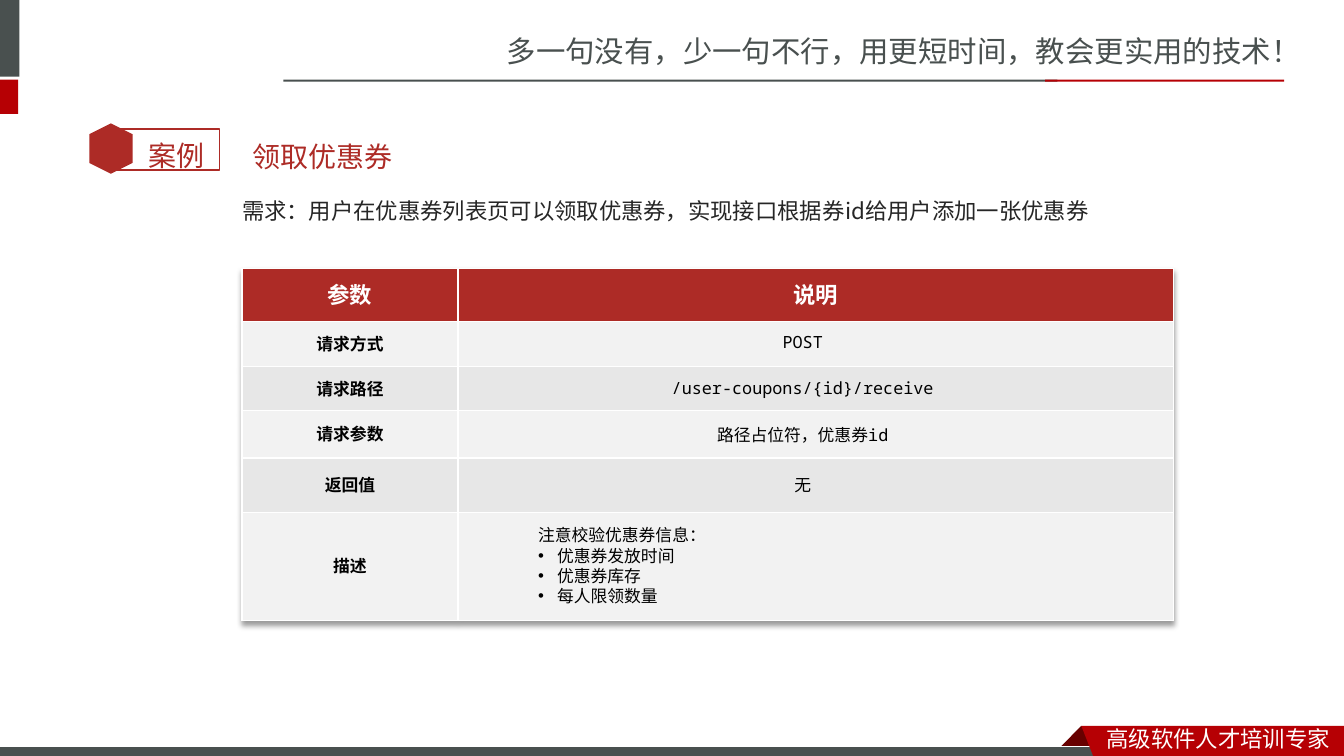
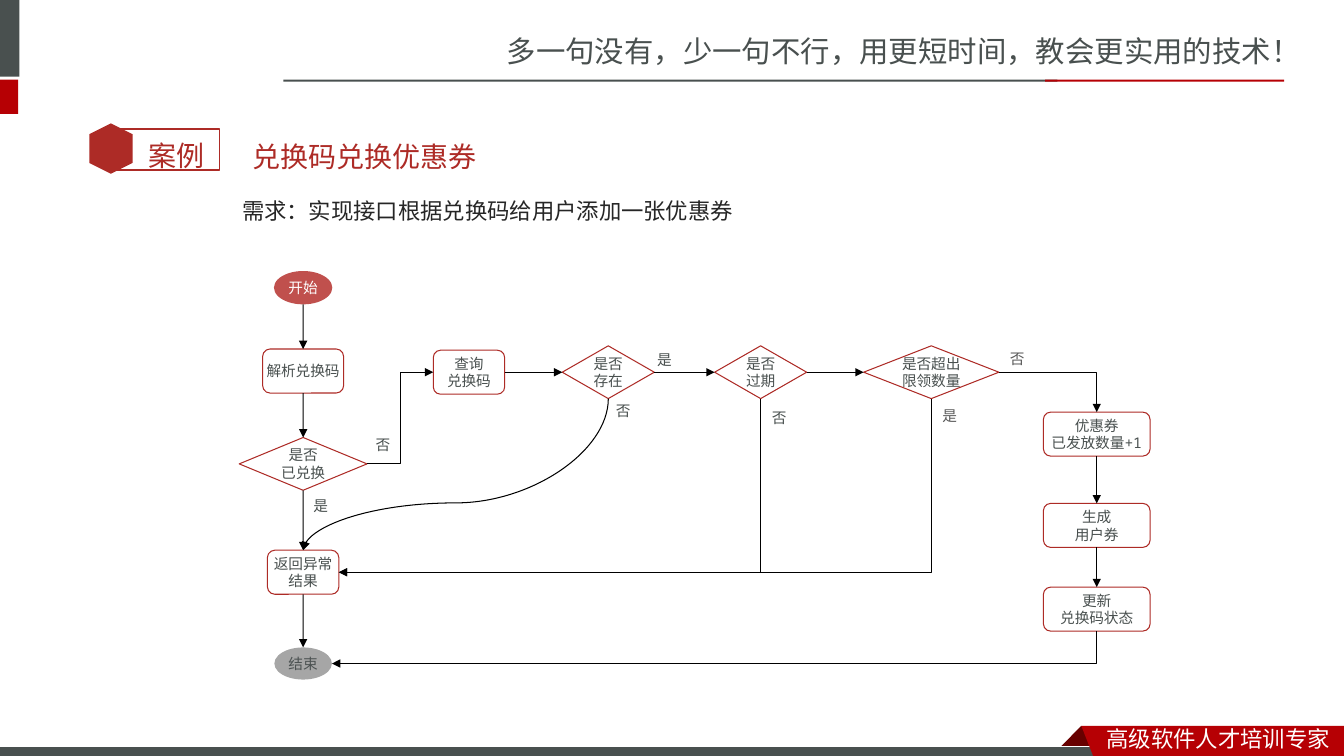
import pptx
import pptx.util
import pptx.dml.color
import pptx.enum.shapes
import pptx.enum.text
import pptx.oxml
import pptx.oxml.ns
from lxml import etree

Cm, Pt = pptx.util.Cm, pptx.util.Pt
SHAPE = pptx.enum.shapes.MSO_SHAPE
CONNECTOR = pptx.enum.shapes.MSO_CONNECTOR
ALIGN = pptx.enum.text.PP_ALIGN
ANCHOR = pptx.enum.text.MSO_ANCHOR
qn = pptx.oxml.ns.qn

COLORS = {
    "slate": "49504F", "red": "B60004", "dark red": "680000",
    "brick": "AD2B26", "start": "C0504D", "end": "A6A6A6", "end text": "4C5252",
    "ink": "262626", "label": "595959", "black": "000000", "white": "FFFFFF",
    "light row": "F2F2F2", "dark row": "E7E7E7",
}
CJK, MONO = "Noto Sans CJK SC", "Noto Sans Mono"
CENTERED = {"alignment": ALIGN.CENTER}
NO_SIDE_MARGINS = {"margin_left": 0, "margin_right": 0}


def paint(shape, fill=None, line=None, weight=0.75):
    shape.shadow.inherit = False
    if fill:
        shape.fill.solid()
        shape.fill.fore_color.rgb = pptx.dml.color.RGBColor.from_string(COLORS[fill])
    else:
        shape.fill.background()
    if line:
        shape.line.color.rgb = pptx.dml.color.RGBColor.from_string(COLORS[line])
        shape.line.width = Pt(weight)
    else:
        shape.line.fill.background()


def write(frame, text, size, color, font=MONO, bold=False, frame_format={}, paragraph_format={}):
    frame_values = {"word_wrap": True, "auto_size": pptx.enum.text.MSO_AUTO_SIZE.NONE}
    for name, value in {**frame_values, **frame_format}.items():
        setattr(frame, name, value)
    for number, line in enumerate(text.split("\n")):
        paragraph = frame.add_paragraph() if number else frame.paragraphs[0]
        for name, value in paragraph_format.items():
            setattr(paragraph, name, value)
        run = paragraph.add_run()
        run.text = line
        for name, value in {"size": Pt(size), "bold": bold, "name": font}.items():
            setattr(run.font, name, value)
        run.font.color.rgb = pptx.dml.color.RGBColor.from_string(COLORS[color])
        east_asian = font if font in (MONO, "Noto Sans CJK JP") else CJK
        etree.SubElement(run._r.get_or_add_rPr(), qn("a:ea"), typeface=east_asian)


deck = pptx.Presentation()
deck.slide_width, deck.slide_height = Cm(33.87), Cm(19.05)

# Layout: title and requirement places
layout = deck.slide_layouts[1]
for spare in list(layout.placeholders)[2:]:
    spare._element.getparent().remove(spare._element)
places = [(6.1, 2.62, 16.59, 1.78), (6.1, 4.5, 25.6, 1.8)]
for placeholder, box in zip(layout.placeholders, places):
    for name, value in zip(("left", "top", "width", "height"), box):
        setattr(placeholder, name, Cm(value))

# Slides with title and requirement
headings = [
    ("领取优惠券", "需求：用户在优惠券列表页可以领取优惠券，实现接口根据券id给用户添加一张优惠券"),
    ("兑换码兑换优惠券", "需求：实现接口根据兑换码给用户添加一张优惠券"),
]
for title, requirement in headings:
    slide = deck.slides.add_slide(layout)
    write(slide.shapes.title.text_frame, title, 20, "brick", "Lato",
          frame_format={"vertical_anchor": ANCHOR.MIDDLE},
          paragraph_format={"alignment": ALIGN.LEFT, "line_spacing": 2.0, "space_before": Pt(0)})
    body = slide.placeholders[1].text_frame
    write(body, requirement, 16, "ink", "Noto Sans CJK JP", frame_format=NO_SIDE_MARGINS,
          paragraph_format={"line_spacing": 1.5, "space_before": Pt(0)})
    properties = body.paragraphs[0]._p.get_or_add_pPr()
    properties.set("marL", "0")
    properties.set("indent", "0")
    etree.SubElement(properties, qn("a:buNone"))
api_slide, flow_slide = deck.slides

# Shared frame: bands, header rules, ribbon and badge
shapes = api_slide.shapes
bands = [
    (SHAPE.RECTANGLE, (-0.15, 0, 0.64, 1.93), "slate", None, 0),
    (SHAPE.RECTANGLE, (-0.15, 2.01, 0.61, 0.86), "red", None, 0),
    (SHAPE.RECTANGLE, (7.14, 2.01, 19.51, 0.05), "slate", None, 0),
    (SHAPE.RECTANGLE, (26.34, 2.01, 6.02, 0.05), "red", None, 0),
    (SHAPE.RECTANGLE, (2.77, 3.25, 2.77, 1.04), None, "brick", 0),
    (SHAPE.HEXAGON, (2.16, 3.2, 1.27, 1.09), "brick", None, 90),
    (SHAPE.RECTANGLE, (-0.03, 18.82, 27.94, 0.3), "slate", "white", 0),
]
for kind, box, fill, line, rotation in bands:
    band = shapes.add_shape(kind, *map(Cm, box))
    band.rotation = rotation
    paint(band, fill, line, 1 if line == "brick" else 0.75)

ribbon_parts = [
    ("dark red", [(27.25, 18.29), (27.81, 18.85), (27.79, 18.87), (26.72, 18.87), (26.7, 18.85)]),
    ("red", [(27.25, 18.29), (33.87, 18.29), (33.87, 19.15), (27.58, 19.13)]),
]
footer_band = band
for fill, corners in ribbon_parts:
    points = [(Cm(x), Cm(y)) for x, y in corners]
    outline = shapes.build_freeform(*points[0])
    outline.add_line_segments(points[1:], close=True)
    ribbon = outline.convert_to_shape()
    paint(ribbon, fill)
    if fill == "dark red":
        footer_band._element.addprevious(ribbon._element)

frame_texts = [
    ((12.52, 0.71, 21.36, 1.19), "多一句没有，少一句不行，用更短时间，教会更实用的技术！", 21, "slate", CJK, 1.0),
    ((27.64, 18.16, 6.22, 0.94), "高级软件人才培训专家", 16, "white", CJK, 1.0),
    ((3.5, 2.95, 2.16, 1.42), "案例", 20, "brick", "Calibri", 1.5),
]
for box, text, size, color, font, spacing in frame_texts:
    caption = shapes.add_textbox(*map(Cm, box))
    write(caption.text_frame, text, size, color, font, paragraph_format={"line_spacing": spacing})

# Move the frame to the layout so that both slides share it
for shape in list(shapes):
    if not shape.is_placeholder:
        layout.shapes._spTree.append(shape._element)

# Slide 1: interface table
column_widths = [5.44, 18.03]
row_heights = [1.35, 1.12, 1.12, 1.19, 1.37, 2.72]
row_names = ["参数", "请求方式", "请求路径", "请求参数", "返回值", "描述"]
table = api_slide.shapes.add_table(
    len(row_names), 2, Cm(6.1), Cm(6.76), Cm(sum(column_widths)), Cm(sum(row_heights))).table
for column, width in zip(table.columns, column_widths):
    column.width = Cm(width)
for number, (row, height, name) in enumerate(zip(table.rows, row_heights, row_names)):
    row.height = Cm(height)
    fill = "brick" if number == 0 else "light row" if number % 2 else "dark row"
    for cell, text in zip(row.cells, (name, "" if number else "说明")):
        cell.fill.solid()
        cell.fill.fore_color.rgb = pptx.dml.color.RGBColor.from_string(COLORS[fill])
        cell.vertical_anchor = ANCHOR.MIDDLE
        if text:
            write(cell.text_frame, text, 12 if number else 16, "black" if number else "white",
                  bold=True, frame_format={}, paragraph_format=CENTERED)
table._tbl.tblPr.insert(0, pptx.oxml.parse_xml(
    '<a:effectLst xmlns:a="http://schemas.openxmlformats.org/drawingml/2006/main">'
    '<a:outerShdw blurRad="50800" dist="38100" dir="5400000" algn="t" rotWithShape="0">'
    '<a:srgbClr val="000000"><a:alpha val="40000"/></a:srgbClr></a:outerShdw></a:effectLst>'))

# Slide 1: values over the second column
value_center = 20.23
values = [
    (8.23, 4.9, "POST"),
    (9.4, 8.71, "/user-coupons/{id}/receive"),
    (10.57, 8.71, "路径占位符，优惠券id"),
    (11.84, 15.54, "无"),
]
for top, width, text in values:
    value_box = api_slide.shapes.add_textbox(
        Cm(value_center - width / 2), Cm(top), Cm(width), Cm(0.76))
    write(value_box.text_frame, text, 12, "black", paragraph_format=CENTERED)

checks = api_slide.shapes.add_textbox(Cm(13.31), Cm(13.11), Cm(14.63), Cm(2.31)).text_frame
write(checks, "注意校验优惠券信息：\n优惠券发放时间\n优惠券库存\n每人限领数量", 12, "black")
for check in checks.paragraphs[1:]:
    properties = check._p.get_or_add_pPr()
    properties.set("marL", str(Cm(0.48)))
    properties.set("indent", str(-Cm(0.48)))
    etree.SubElement(properties, qn("a:buFont"), typeface="Arial")
    etree.SubElement(properties, qn("a:buChar"), char="•")

# Slide 2: flowchart steps as centre x, centre y, width, height
left_x, right_x, row_y = 7.64, 27.64, 9.38
looks = {  # shape, fill, line, text colour
    "start": (SHAPE.OVAL, "start", None, "white"),
    "end": (SHAPE.OVAL, "end", None, "end text"),
    "step": (SHAPE.ROUNDED_RECTANGLE, "white", "brick", "slate"),
    "choice": (SHAPE.DIAMOND, "white", "brick", "slate"),
}
steps = {
    "start": ("start", left_x, 7.25, 1.47, 0.84, "开始"),
    "parse": ("step", left_x, 9.35, 2.04, 1.11, "解析兑换码"),
    "redeemed": ("choice", left_x, 11.69, 3.22, 1.33, "是否\n已兑换"),
    "failure": ("step", left_x, 14.42, 1.8, 1.11, "返回异常结果"),
    "end": ("end", left_x, 16.72, 1.45, 0.81, "结束"),
    "query": ("step", 11.82, row_y, 1.8, 1.11, "查询\n兑换码"),
    "exists": ("choice", 15.33, row_y, 2.32, 1.33, "是否\n存在"),
    "expired": ("choice", 19.17, row_y, 2.32, 1.33, "是否\n过期"),
    "limit": ("choice", 23.47, row_y, 3.41, 1.33, "是否超出\n限领数量"),
    "count": ("step", right_x, 10.94, 2.69, 1.11, "优惠券\n已发放数量+1"),
    "coupon": ("step", right_x, 13.24, 2.69, 1.11, "生成\n用户券"),
    "status": ("step", right_x, 15.35, 2.69, 1.11, "更新\n兑换码状态"),
}
drawn = {}
for key, (look, x, y, width, height, text) in steps.items():
    kind, fill, line, color = looks[look]
    drawn[key] = flow_slide.shapes.add_shape(
        kind, Cm(x - width / 2), Cm(y - height / 2), Cm(width), Cm(height))
    paint(drawn[key], fill, line)
    write(drawn[key].text_frame, text, 10.5, color, paragraph_format=CENTERED,
          frame_format={"vertical_anchor": ANCHOR.MIDDLE, **NO_SIDE_MARGINS})

# Slide 2: arrows from side to side of the steps
TOP, LEFT, BOTTOM, RIGHT = range(4)
side_offsets = [(0, -0.5), (-0.5, 0), (0, 0.5), (0.5, 0)]
arrows = [
    ("straight", "start", BOTTOM, "parse", TOP),
    ("straight", "parse", BOTTOM, "redeemed", TOP),
    ("straight", "redeemed", BOTTOM, "failure", TOP),
    ("straight", "failure", BOTTOM, "end", TOP),
    ("elbow", "redeemed", RIGHT, "query", LEFT),
    ("straight", "query", RIGHT, "exists", LEFT),
    ("straight", "exists", RIGHT, "expired", LEFT),
    ("straight", "expired", RIGHT, "limit", LEFT),
    ("corner", "limit", RIGHT, "count", TOP),
    ("straight", "count", BOTTOM, "coupon", TOP),
    ("straight", "coupon", BOTTOM, "status", TOP),
    ("corner", "status", BOTTOM, "end", RIGHT),
    ("corner", "expired", BOTTOM, "failure", RIGHT),
    ("corner", "limit", BOTTOM, "failure", RIGHT),
    ("curve", "exists", BOTTOM, "failure", TOP),
]
connector_types = {"straight": CONNECTOR.STRAIGHT, "elbow": CONNECTOR.ELBOW,
                   "corner": CONNECTOR.ELBOW, "curve": CONNECTOR.CURVE}
for kind, source, source_side, target, target_side in arrows:
    ends = []
    for key, side in ((source, source_side), (target, target_side)):
        _, x, y, width, height, _ = steps[key]
        ends += [x + side_offsets[side][0] * width, y + side_offsets[side][1] * height]
    turned = kind != "straight" and source_side == BOTTOM
    if turned:  # a quarter turn swaps width and height around the centre
        x1, y1, x2, y2 = ends
        mid_x, mid_y, half_w, half_h = (x1 + x2) / 2, (y1 + y2) / 2, (y2 - y1) / 2, (x1 - x2) / 2
        ends = [mid_x - half_w, mid_y - half_h, mid_x + half_w, mid_y + half_h]
    arrow = flow_slide.shapes.add_connector(connector_types[kind], *map(Cm, ends))
    if kind == "straight":
        if source != "start":
            arrow.begin_connect(drawn[source], source_side)
        if target != "end":
            arrow.end_connect(drawn[target], target_side)
    arrow.line.color.rgb = pptx.dml.color.RGBColor.from_string(COLORS["black"])
    arrow.line.width = Pt(0.75)
    etree.SubElement(arrow.line._get_or_add_ln(), qn("a:tailEnd"), type="triangle")
    properties = arrow._element.spPr
    etree.SubElement(properties, qn("a:effectLst"))
    geometry = properties.find(qn("a:prstGeom"))
    if turned:
        properties.find(qn("a:xfrm")).set("rot", "5400000")
    if kind == "corner":
        geometry.set("prst", "bentConnector2")
    if kind == "curve":
        guides = geometry.find(qn("a:avLst"))
        etree.SubElement(guides, qn("a:gd"), name="adj1", fmla="val 68800")

# Slide 2: answers beside the arrows
answers = [
    (9.22, 10.85, "否", "slate"), (7.65, 12.4, "是", "slate"), (15.27, 10.01, "否", "slate"),
    (16.31, 8.71, "是", "slate"), (19.2, 10.19, "否", "slate"),
    (25.2, 8.69, "否", "label"), (23.5, 10.13, "是", "label"),
]
for left, top, text, color in answers:
    answer = flow_slide.shapes.add_textbox(Cm(left), Cm(top), Cm(0.89), Cm(0.71))
    write(answer.text_frame, text, 10.5, color, frame_format={"word_wrap": False})

deck.save("out.pptx")
